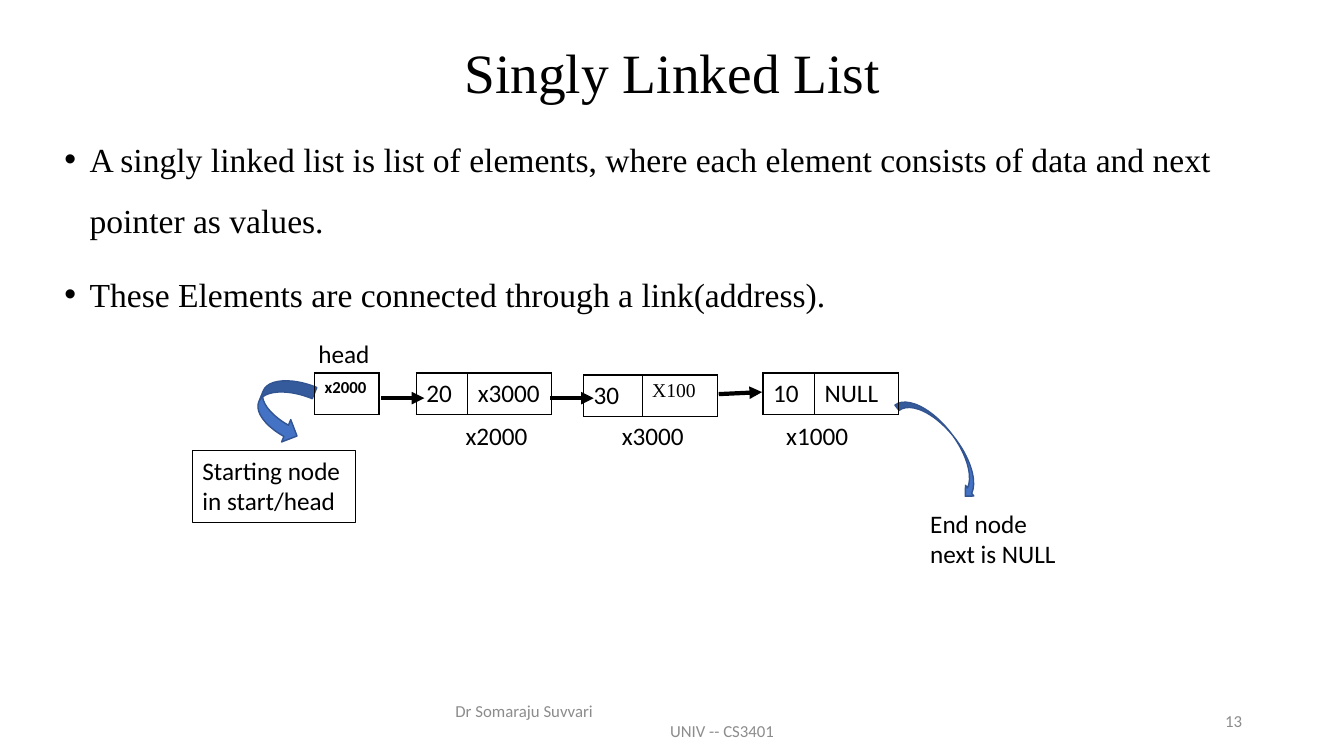
from lxml import etree
from pptx import Presentation
from pptx.dml.color import RGBColor
from pptx.enum.shapes import MSO_CONNECTOR as Line, MSO_SHAPE as Shape
from pptx.enum.text import MSO_ANCHOR as Anchor, PP_ALIGN as Align
from pptx.oxml.ns import qn
from pptx.util import Inches, Pt

COLORS = {"ink": "000000", "paper": "FFFFFF", "arrow": "4472C4",
          "arrow_edge": "325491", "footer": "8C8C8C"}
SANS, SERIF = "Calibri", "Times New Roman"
COLS, ROWS = 133.33, 75
CELL = Inches(0.1)


def grid(*values):
    return [round(v * CELL) for v in values]


def rgb(name):
    return RGBColor.from_string(COLORS[name])


def add_run(p, text, size=18, font=SANS, color="ink", bold=False):
    r = p.add_run()
    r.text = text
    r.font.size, r.font.name, r.font.bold = Pt(size), font, bold
    r.font.color.rgb = rgb(color)


def add_text(s, box, lines, align=Align.LEFT, anchor=Anchor.TOP, spacing=1.0, **style):
    sp = s.shapes.add_textbox(*grid(*box))
    tf = sp.text_frame
    tf.word_wrap, tf.vertical_anchor = True, anchor
    for i, line in enumerate(lines):
        p = tf.paragraphs[0] if i == 0 else tf.add_paragraph()
        p.alignment, p.line_spacing = align, spacing
        add_run(p, line, **style)
    return sp


def indent(p, left, first=0):
    pPr = p._p.get_or_add_pPr()
    pPr.set("marL", str(Inches(left)))
    pPr.set("indent", str(Inches(first)))
    return pPr


def add_bullets(s, box, lines):
    sp = add_text(s, box, lines, spacing=1.5, size=24, font=SERIF)
    for p in sp.text_frame.paragraphs:
        p.space_before = Pt(10)
        pPr = indent(p, 0.25, -0.25)
        etree.SubElement(pPr, qn("a:buFont"), typeface="Arial")
        etree.SubElement(pPr, qn("a:buChar"), char="•")


def add_curved_arrow(s, kind, box, angle):
    sp = s.shapes.add_shape(kind, *grid(*box))
    sp.shadow.inherit = False
    sp.rotation = angle
    sp.fill.solid()
    sp.fill.fore_color.rgb = rgb("arrow")
    sp.line.color.rgb = rgb("arrow_edge")
    sp.line.width = Pt(1)


def add_borders(cell):
    tcPr = cell._tc.get_or_add_tcPr()
    for i, side in enumerate(("lnL", "lnR", "lnT", "lnB")):
        ln = etree.Element(qn(f"a:{side}"), w=str(Pt(1)))
        fill = etree.SubElement(ln, qn("a:solidFill"))
        etree.SubElement(fill, qn("a:srgbClr"), val=COLORS["ink"])
        tcPr.insert(i, ln)


def add_node(s, left, top, widths, runs):
    frame = s.shapes.add_table(1, len(widths), *grid(left, top, sum(widths), 4.1))
    table = frame.table
    table.first_row = table.horz_banding = False
    for i, (width, (text, style)) in enumerate(zip(widths, runs)):
        table.columns[i].width = grid(width)[0]
        cell = table.cell(0, i)
        cell.fill.background()
        add_run(cell.text_frame.paragraphs[0], text, **style)
        add_borders(cell)


def add_link(s, start, end):
    link = s.shapes.add_connector(Line.STRAIGHT, *grid(*start, *end))
    link.line.color.rgb = rgb("ink")
    link.line.width = Pt(3)
    etree.SubElement(link.line._get_or_add_ln(), qn("a:tailEnd"), type="triangle")
    etree.SubElement(link._element.spPr, qn("a:effectLst"))


def add_footer(s):
    style = dict(anchor=Anchor.MIDDLE, size=12, color="footer")
    sp = add_text(s, (44.2, 69.5, 45, 4), ["Dr Somaraju Suvvari", "UNIV -- CS3401"], **style)
    indent(sp.text_frame.paragraphs[1], 2.13)
    add_text(s, (94.2, 69.5, 30, 4), ["13"], align=Align.RIGHT, **style)


def main():
    prs = Presentation()
    prs.slide_width, prs.slide_height = grid(COLS, ROWS)
    s = prs.slides.add_slide(prs.slide_layouts[6])
    s.background.fill.solid()
    s.background.fill.fore_color.rgb = rgb("paper")

    add_text(s, (9.2, 4, 115, 7), ["Singly Linked List"], align=Align.CENTER,
             anchor=Anchor.MIDDLE, spacing=0.9, size=39.6, font=SERIF)
    add_bullets(s, (5.4, 11.3, 120.9, 54.8), [
        "A singly linked list is list of elements, where each element consists "
        "of data and next pointer as values. ",
        "These Elements are connected through a link(address)."])

    add_curved_arrow(s, Shape.CURVED_UP_ARROW, (24.8, 38.1, 6.4, 4.8), 112.2)
    add_curved_arrow(s, Shape.CURVED_DOWN_ARROW, (87.5, 42.8, 12.1, 2.7), 52.3)
    start = add_text(s, (19.1, 44.7, 16.2, 7.1), ["Starting node in start/head"])
    start.line.color.rgb = rgb("ink")
    start.line.width = Pt(0.75)
    add_text(s, (91.3, 49.9, 16.2, 7.1), ["End node next is NULL"])
    add_footer(s)

    add_text(s, (30.6, 33.1, 8, 4), ["head"])
    add_node(s, 31.2, 37, [6.4], [("x2000", dict(size=12, bold=True))])
    nodes = [
        (41.3, 37, [5.1, 8.3], [("20", {}), ("x3000", {})], "x2000", 45.2),
        (57.9, 37.2, [5.8, 7.5], [("30", {}), ("X100", dict(size=14, font=SERIF))], "x3000", 60.7),
        (75.7, 37, [5.1, 8.3], [("10", {}), ("NULL", {})], "x1000", 77),
    ]
    for left, top, widths, runs, address, label_left in nodes:
        add_node(s, left, top, widths, runs)
        add_text(s, (label_left, 41.2, 12.2, 4), [address])
    for x, y, rise in [(37.8, 39.5, 0), (54.6, 39.5, 0), (71.3, 39.1, 0.2)]:
        add_link(s, (x, y), (x + 4.3, y - rise))

    prs.save("out.pptx")


main()
